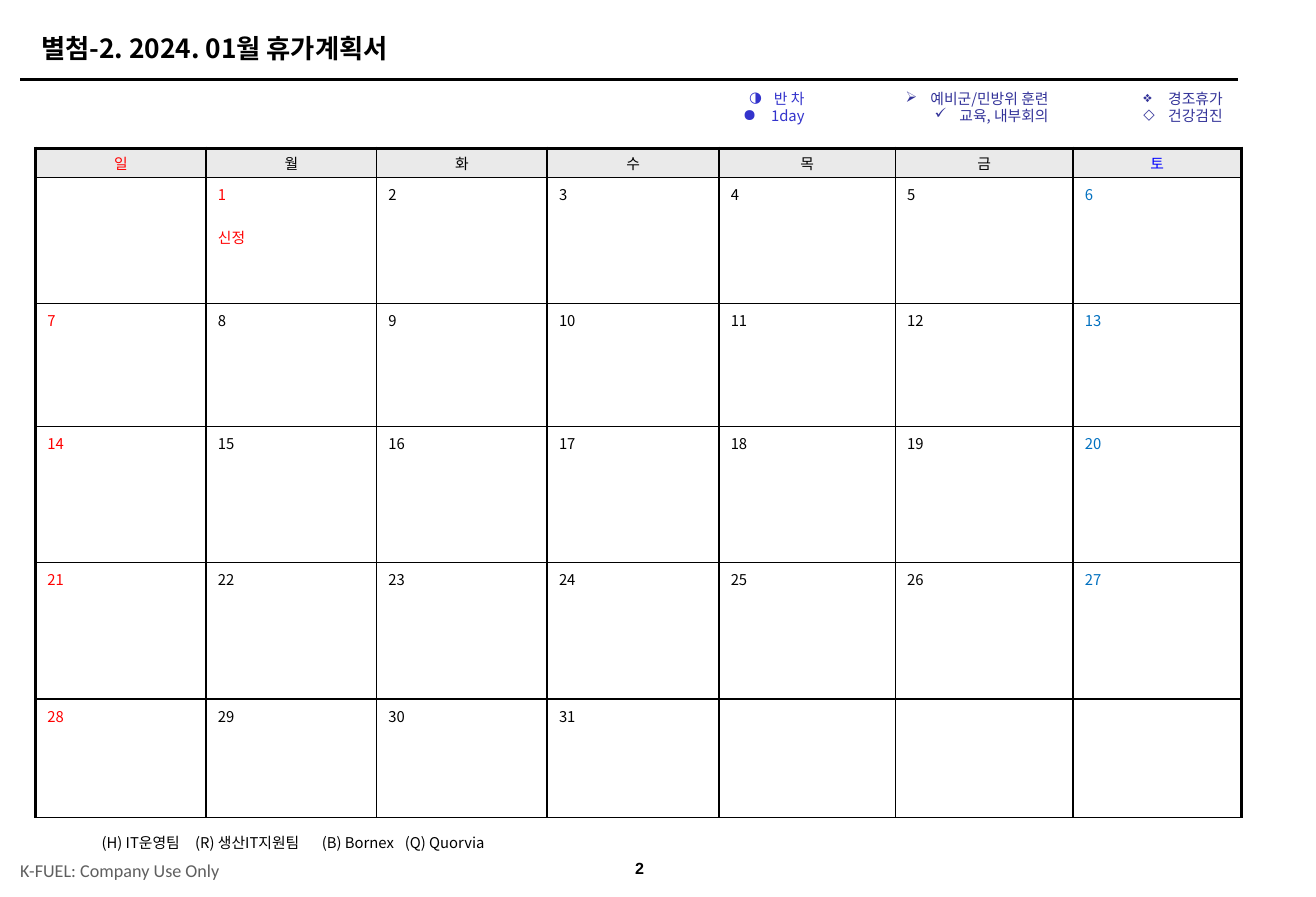
"""Build the January 2024 leave plan calendar slide."""
import dataclasses
import typing

import lxml.etree
import pptx
import pptx.dml.color
import pptx.enum.shapes
import pptx.enum.text
import pptx.oxml.ns
import pptx.util

Inches = pptx.util.Inches
Pt = pptx.util.Pt
Align = pptx.enum.text.PP_ALIGN
Anchor = pptx.enum.text.MSO_ANCHOR
qn = pptx.oxml.ns.qn

KOREAN = "Noto Sans CJK KR"
BLACK, RED, NAVY, BRIGHT = "000000", "FF0000", "333399", "3333CC"
WEEKDAYS = "일월화수목금토"
DAY_WIDTHS = [1.44, 1.44, 1.44, 1.45, 1.49, 1.5, 1.42]
ROW_HEIGHTS = [0.25, 1.06, 1.04, 1.15, 1.15, 1]
HOLIDAYS = {1: "신정"}
LAST_DAY = 31


@dataclasses.dataclass(frozen=True)
class Mark:
    """A legend entry with its bullet."""
    symbol: str
    meaning: str
    percent: int = 100


@dataclasses.dataclass(frozen=True)
class Legend:
    """A column of legend entries."""
    left: float
    top: float
    width: float
    color: str
    marks: tuple[Mark, ...]
    wrap: bool = True


LEGENDS = (
    Legend(6.17, 0.72, 0.72, BRIGHT, (Mark("◑", "반 차"), Mark("●", " 1day", 115)), wrap=False),
    Legend(7.41, 0.72, 1.54, NAVY, (Mark("➢", "예비군/민방위 훈련"), Mark("✓", "교육, 내부회의"))),
    Legend(8.59, 0.72, 1.83, NAVY, (Mark("❖", "경조휴가"), Mark("◇", "건강검진"))),
)


def rgb(color: str) -> pptx.dml.color.RGBColor:
    """Turn a hex string into a colour."""
    return pptx.dml.color.RGBColor.from_string(color)


def add_child(parent: typing.Any, tag: str, **attributes: str) -> typing.Any:
    """Append a drawing element with its attributes."""
    return lxml.etree.SubElement(parent, qn(tag), attributes)


def write(paragraph: typing.Any, text: str, *, size: float = 9, color: str = BLACK,
          font: str = KOREAN, bold: bool = False, align: Align = Align.LEFT,
          before: float = 0, spacing: float = 1.0, mark: Mark | None = None,
          tabs: tuple[float, ...] = ()) -> None:
    """Write one formatted paragraph."""
    paragraph.alignment = align
    paragraph.line_spacing = spacing
    paragraph.space_before = Pt(before)
    properties = paragraph._p.get_or_add_pPr()
    if mark:
        properties.set("marL", str(Inches(0.21)))
        properties.set("indent", str(-Inches(0.21)))
        add_child(add_child(properties, "a:buClr"), "a:srgbClr", val=color)
        add_child(properties, "a:buSzPct", val=str(mark.percent * 1000))
        add_child(properties, "a:buChar", char=mark.symbol)
    if tabs:
        stops = add_child(properties, "a:tabLst")
        for position in tabs:
            add_child(stops, "a:tab", pos=str(Inches(position)), algn="l")
    run = paragraph.add_run()
    run.text = text
    run.font.size = Pt(size)
    run.font.bold = bold
    run.font.name = font
    run.font.color.rgb = rgb(color)
    add_child(run._r.get_or_add_rPr(), "a:ea", typeface=font)


def add_frame(slide: typing.Any, left: float, top: float, width: float, height: float,
              wrap: bool = True, anchor: Anchor = Anchor.MIDDLE) -> typing.Any:
    """Add a text box and return its text frame."""
    box = slide.shapes.add_textbox(Inches(left), Inches(top), Inches(width), Inches(height))
    box.text_frame.word_wrap = wrap
    box.text_frame.vertical_anchor = anchor
    return box.text_frame


def add_legend(slide: typing.Any, legend: Legend) -> None:
    """Draw one legend column."""
    frame = add_frame(slide, legend.left, legend.top, legend.width, 0.4, legend.wrap, Anchor.TOP)
    for index, mark in enumerate(legend.marks):
        paragraph = frame.add_paragraph() if index else frame.paragraphs[0]
        write(paragraph, mark.meaning, color=legend.color, align=Align.RIGHT, spacing=0.95, mark=mark)


def add_borders(cell: typing.Any, row: int, column: int) -> None:
    """Rule a cell, with heavier lines on the top and sides of the table."""
    heavy = {"L": column == 0, "R": column == len(WEEKDAYS) - 1, "T": row == 0, "B": False}
    for side, is_heavy in heavy.items():
        line = add_child(cell._tc.get_or_add_tcPr(), f"a:ln{side}", w=str(Pt(2 if is_heavy else 1)))
        add_child(add_child(line, "a:solidFill"), "a:srgbClr", val=BLACK)


def add_calendar(slide: typing.Any) -> None:
    """Draw the month as a table."""
    calendar = slide.shapes.add_table(
        len(ROW_HEIGHTS), len(WEEKDAYS), Inches(0.3), Inches(1.25),
        Inches(sum(DAY_WIDTHS)), Inches(sum(ROW_HEIGHTS))).table
    calendar.first_row = calendar.horz_banding = False
    for column, width in zip(calendar.columns, DAY_WIDTHS):
        column.width = Inches(width)
    for row, height in enumerate(ROW_HEIGHTS):
        calendar.rows[row].height = Inches(height)
        for column, weekday in enumerate(WEEKDAYS):
            cell = calendar.cell(row, column)
            add_borders(cell, row, column)
            paragraph = cell.text_frame.paragraphs[0]
            if row == 0:
                cell.fill.solid()
                cell.fill.fore_color.rgb = rgb("EAEAEA")
                cell.vertical_anchor = Anchor.MIDDLE
                cell.margin_top = cell.margin_bottom = Inches(0.03)
                write(paragraph, weekday, color={0: RED, 6: "0000FF"}.get(column, BLACK),
                      align=Align.CENTER)
                continue
            cell.fill.background()
            day = (row - 1) * len(WEEKDAYS) + column
            if 1 <= day <= LAST_DAY:
                color = RED if day in HOLIDAYS else {0: RED, 6: "0070C0"}.get(column, BLACK)
                write(paragraph, str(day), color=color)
                if day in HOLIDAYS:
                    write(cell.text_frame.add_paragraph(), HOLIDAYS[day], color=color, before=13)


def add_title_rule(slide: typing.Any) -> None:
    """Draw the line under the title."""
    rule = slide.shapes.add_connector(
        pptx.enum.shapes.MSO_CONNECTOR.STRAIGHT,
        Inches(0.17), Inches(0.67), Inches(10.45), Inches(0.67))
    rule.line.color.rgb = rgb(BLACK)
    rule.line.width = Pt(1.5)
    add_child(rule._element.spPr, "a:effectLst")


def main() -> None:
    """Assemble and save the slide."""
    deck = pptx.Presentation()
    deck.slide_width, deck.slide_height = Inches(11.11), Inches(7.57)
    slide = deck.slides.add_slide(deck.slide_layouts[6])

    add_title_rule(slide)
    page = add_frame(slide, 5.13, 7.17, 0.54, 0.31, wrap=False)
    write(page.paragraphs[0], "2", size=9.8, font="Arial", bold=True, align=Align.CENTER)
    notice = add_frame(slide, 0.17, 7.19, 1.75, 0.31)
    notice.margin_left = notice.margin_right = 0
    write(notice.paragraphs[0], "K-FUEL: Company Use Only", size=11, font="Calibri", color="5F5F5F")

    add_calendar(slide)
    title = add_frame(slide, 0.25, 0.22, 9.9, 0.37)
    write(title.paragraphs[0], "별첨-2. 2024. 01월 휴가계획서", size=16, bold=True)
    for legend in LEGENDS:
        add_legend(slide, legend)
    teams = add_frame(slide, 0.76, 7, 4, 0.24)
    write(teams.paragraphs[0], "(H) IT운영팀\t(R) 생산IT지원팀\t(B) Bornex\t(Q) Quorvia",
          spacing=0.95, tabs=(0.79, 1.86, 2.56))
    deck.save("out.pptx")


if __name__ == "__main__":
    main()
